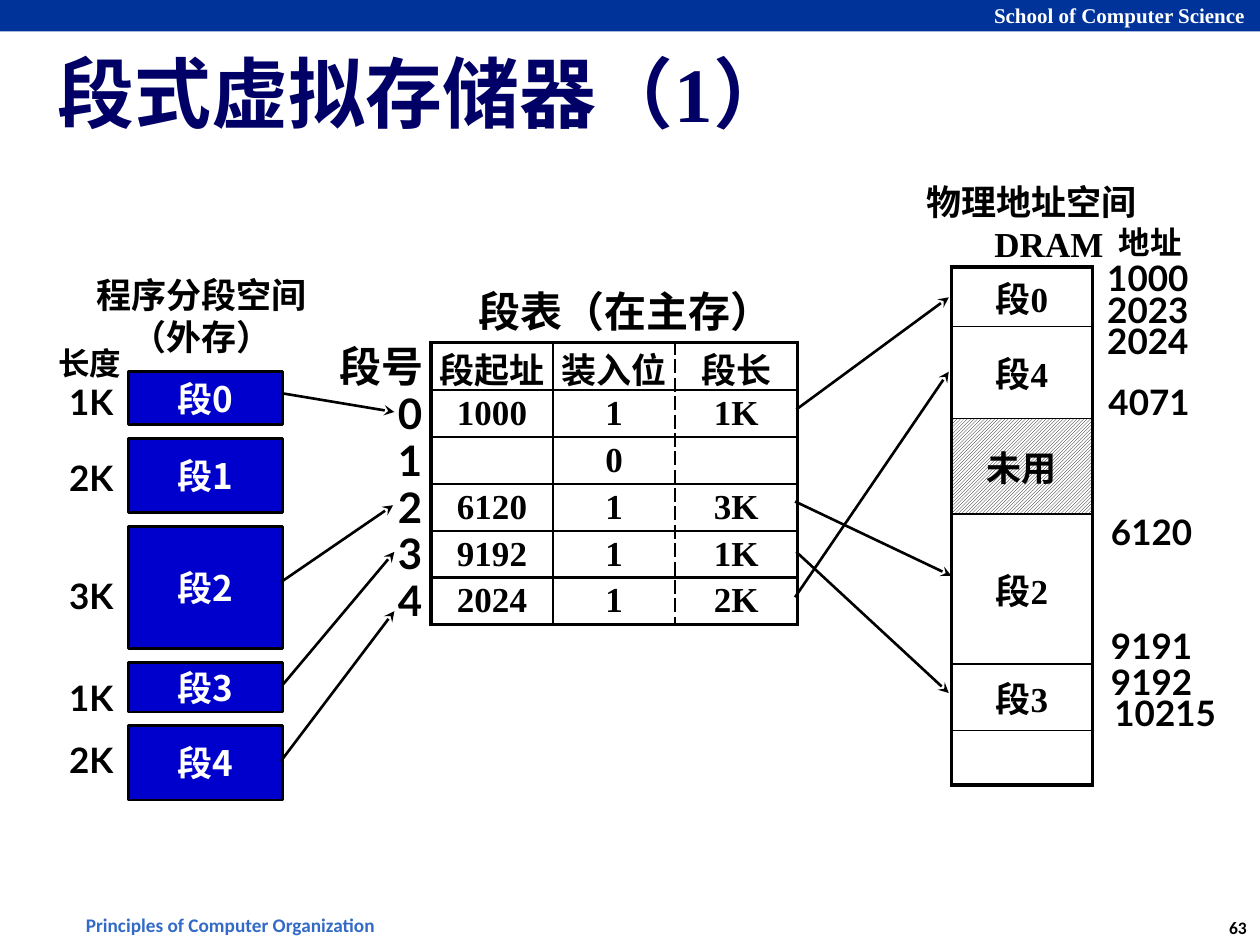
"""Draw the segmented virtual memory slide on a grid of 100 columns and 75 rows."""
from itertools import accumulate

from lxml.etree import SubElement
from pptx import Presentation
from pptx.dml.color import RGBColor
from pptx.enum.dml import MSO_PATTERN
from pptx.enum.shapes import MSO_CONNECTOR, MSO_SHAPE
from pptx.enum.text import MSO_ANCHOR, PP_ALIGN
from pptx.oxml import parse_xml
from pptx.oxml.ns import nsdecls, qn
from pptx.util import Inches, Pt

COLUMNS, ROWS = 100, 75
WIDTH, HEIGHT = Inches(10), Inches(7.5)
SERIF, SANS, CJK = "Times New Roman", "Lato", "Noto Sans CJK SC"
BLACK, WHITE, BLUE = "000000", "FFFFFF", "0000CC"
THIN, MEDIUM, THICK = 1, 1.5, 2.25
LEFT, CENTER, RIGHT = PP_ALIGN.LEFT, PP_ALIGN.CENTER, PP_ALIGN.RIGHT

BLOCK_GAP = 1.1
BLOCKS = [("段0", 4.2, "1K", 29.7), ("段1", 5.9, "2K", 35.7),
          ("段2", 9.7, "3K", 45.1), ("段3", 3.9, "1K", 53.2),
          ("段4", 5.9, "2K", 58.1)]
SEGMENT_TABLE = [("段起址", "装入位", "段长"), ("1000", "1", "1K"),
                 ("", "0", ""), ("6120", "1", "3K"),
                 ("9192", "1", "1K"), ("2024", "1", "2K")]
MEMORY = [("段0", 4.7), ("段4", 7.3), ("未用", 7.6),
          ("段2", 11.9), ("段3", 5.3), ("", 4.3)]
ADDRESSES = [("1000", 86.2, 19.9), ("2023", 86.2, 22.4),
             ("2024", 86.2, 24.9), ("4071", 86.3, 29.7),
             ("6120", 86.5, 40), ("9191", 86.5, 49.1),
             ("9192", 86.5, 51.9), ("10215", 86.6, 54.4)]
ARROWS = [(63.2, 32.5, 75.3, 23.6), (63.1, 39.8, 75.5, 45.7),
          (63.2, 43.8, 75.3, 55), (63.1, 47.4, 75.3, 29.5),
          (22.3, 31.2, 31.3, 32.7), (22.3, 46.2, 31.2, 40.1),
          (22.4, 54.4, 31.3, 43.8), (22.3, 60.4, 31.3, 48.5)]


def x(columns):
    """Turn grid columns into a length."""
    return int(WIDTH * columns / COLUMNS)


def y(rows):
    """Turn grid rows into a length."""
    return int(HEIGHT * rows / ROWS)


def box(left, top, width, height):
    """Turn a grid rectangle into lengths."""
    return x(left), y(top), x(width), y(height)


def color(hex_code):
    """Turn a hex string into a colour."""
    return RGBColor.from_string(hex_code)


def write(tf, text, size, font, hex_code=BLACK, align=CENTER):
    """Write bold text into a frame, one paragraph per line."""
    tf.text = text
    for p in tf.paragraphs:
        p.alignment = align
        for r in p.runs:
            r.font.size, r.font.bold, r.font.name = Pt(size), True, font
            r.font.color.rgb = color(hex_code)
            ea = SubElement(r._r.get_or_add_rPr(), qn("a:ea"))
            ea.set("typeface", CJK)


def add_text(slide, at, text, size, font=SANS, hex_code=BLACK, align=CENTER):
    """Add an unwrapped text box."""
    tf = slide.shapes.add_textbox(*box(*at)).text_frame
    tf.word_wrap = False
    write(tf, text, size, font, hex_code, align)
    return tf


def add_rect(slide, at, fill, line=None):
    """Add a flat rectangle and return it."""
    sp = slide.shapes.add_shape(MSO_SHAPE.RECTANGLE, *box(*at))
    sp.shadow.inherit = False
    sp.fill.solid()
    sp.fill.fore_color.rgb = color(fill)
    if line:
        sp.line.color.rgb = color(line)
        sp.line.width = Pt(MEDIUM)
    else:
        sp.line.fill.background()
    return sp


def add_arrow(slide, x1, y1, x2, y2):
    """Add a straight line with a stealth head at its end."""
    cxn = slide.shapes.add_connector(
        MSO_CONNECTOR.STRAIGHT, x(x1), y(y1), x(x2), y(y2))
    cxn.line.color.rgb = color(BLACK)
    cxn.line.width = Pt(MEDIUM)
    head = SubElement(cxn.line._get_or_add_ln(), qn("a:tailEnd"))
    head.set("type", "stealth")
    SubElement(cxn._element.spPr, qn("a:effectLst"))


def set_borders(cell, borders):
    """Set the left, right, top and bottom borders as (width, dash) pairs."""
    tc_pr = cell._tc.get_or_add_tcPr()
    for i, (side, (width, dash)) in enumerate(zip("LRTB", borders)):
        tc_pr.insert(i, parse_xml(
            f'<a:ln{side} {nsdecls("a")} w="{Pt(width)}"><a:solidFill>'
            f'<a:srgbClr val="{BLACK}"/></a:solidFill>'
            f'<a:prstDash val="{dash}"/></a:ln{side}>'))


def add_grid(slide, left, top, widths, heights, texts, inner, dashed=None):
    """Add a table with thick outer borders and one optional dashed divider."""
    at = box(left, top, sum(widths), sum(heights))
    table = slide.shapes.add_table(len(heights), len(widths), *at).table
    table.first_row = table.horz_banding = False
    for column, width in zip(table.columns, widths):
        column.width = x(width)
    for row, height in zip(table.rows, heights):
        row.height = y(height)

    def border(i, count, divider=None):
        width = THICK if i in (0, count) else inner
        return width, "dash" if i == divider else "solid"

    for i, row in enumerate(texts):
        for j, text in enumerate(row):
            cell = table.cell(i, j)
            cell.margin_left = cell.margin_right = 0
            cell.margin_top = cell.margin_bottom = 0
            cell.vertical_anchor = MSO_ANCHOR.MIDDLE
            cell.fill.background()
            write(cell.text_frame, text, 20, SERIF)
            set_borders(cell, [border(j, len(widths), dashed),
                               border(j + 1, len(widths), dashed),
                               border(i, len(heights)),
                               border(i + 1, len(heights))])
    return table


def add_frame(slide):
    """Add the header bar, the footer and the title."""
    add_rect(slide, (0, 0, 100, 2.5), "003399")
    add_text(slide, (77.8, -0.3, 22.1, 3), "School of Computer Science",
             12, SERIF, WHITE)
    add_text(slide, (5.5, 72, 25.6, 2.9), "Principles of Computer Organization",
             11, "Calibri", "326AC6")
    add_text(slide, (96.4, 72.3, 3.7, 2.7), "63", 10, "Calibri")
    tf = add_text(slide, (4.2, 2.8, 91.7, 8.9), "段式虚拟存储器（1）",
                  44, SERIF, "000066", LEFT)
    tf.word_wrap = True
    tf.vertical_anchor = MSO_ANCHOR.MIDDLE
    tf.margin_left = tf.margin_right = x(0.4)
    tf.margin_top = tf.margin_bottom = y(0.4)


def add_program(slide):
    """Add the program segments with their lengths."""
    add_text(slide, (6.6, 21.2, 18.8, 7.7), "程序分段空间\n（外存）", 20)
    add_text(slide, (3.6, 26.8, 7, 4), "长度", 18, align=RIGHT)
    tops = accumulate((b[1] + BLOCK_GAP for b in BLOCKS), initial=29.5)
    for (name, height, length, label_top), top in zip(BLOCKS, tops):
        sp = add_rect(slide, (10.2, top, 12.2, height), BLUE, BLACK)
        sp.text_frame.word_wrap = False
        sp.text_frame.vertical_anchor = MSO_ANCHOR.MIDDLE
        write(sp.text_frame, name, 20, CJK, WHITE)
        add_text(slide, (4.3, label_top, 5.7, 4.3), length, 20, align=RIGHT)


def add_segment_table(slide):
    """Add the segment table with its row numbers."""
    add_grid(slide, 34.2, 27.2, [9.7] * 3, [3.73] * 6, SEGMENT_TABLE,
             MEDIUM, dashed=2)
    add_text(slide, (36.9, 22.2, 25.5, 5), "段表（在主存）", 24)
    add_text(slide, (25.9, 26.5, 8.7, 5), "段号", 24, align=RIGHT)
    for i in range(len(BLOCKS)):
        add_text(slide, (30.4, 30.3 + 3.7 * i, 4.1, 5), str(i), 24, align=RIGHT)


def add_memory(slide):
    """Add the physical memory with its addresses."""
    names, heights = zip(*MEMORY)
    table = add_grid(slide, 75.5, 21.2, [11.2], heights,
                     [[name] for name in names], THIN)
    fill = table.cell(names.index("未用"), 0).fill
    fill.patterned()
    fill.pattern = MSO_PATTERN.LIGHT_UPWARD_DIAGONAL
    fill.fore_color.rgb, fill.back_color.rgb = color(BLACK), color(WHITE)
    tf = add_text(slide, (72.4, 13.8, 18.9, 7.7), "物理地址空间\nDRAM", 20)
    p = tf.paragraphs[1]
    p.runs[0].font.name = SERIF
    p._p.get_or_add_pPr().set("marL", str(x(2.8)))
    add_text(slide, (87.8, 17.2, 7, 4), "地址", 18)
    for address, left, top in ADDRESSES:
        width = 2 + 1.78 * len(address)
        add_text(slide, (left, top, width, 4.3), address, 20, align=RIGHT)


def main():
    """Build the slide and save it."""
    prs = Presentation()
    prs.slide_width, prs.slide_height = WIDTH, HEIGHT
    slide = prs.slides.add_slide(prs.slide_layouts[6])
    add_frame(slide)
    add_program(slide)
    add_segment_table(slide)
    add_memory(slide)
    for arrow in ARROWS:
        add_arrow(slide, *arrow)
    prs.save("out.pptx")


if __name__ == "__main__":
    main()
